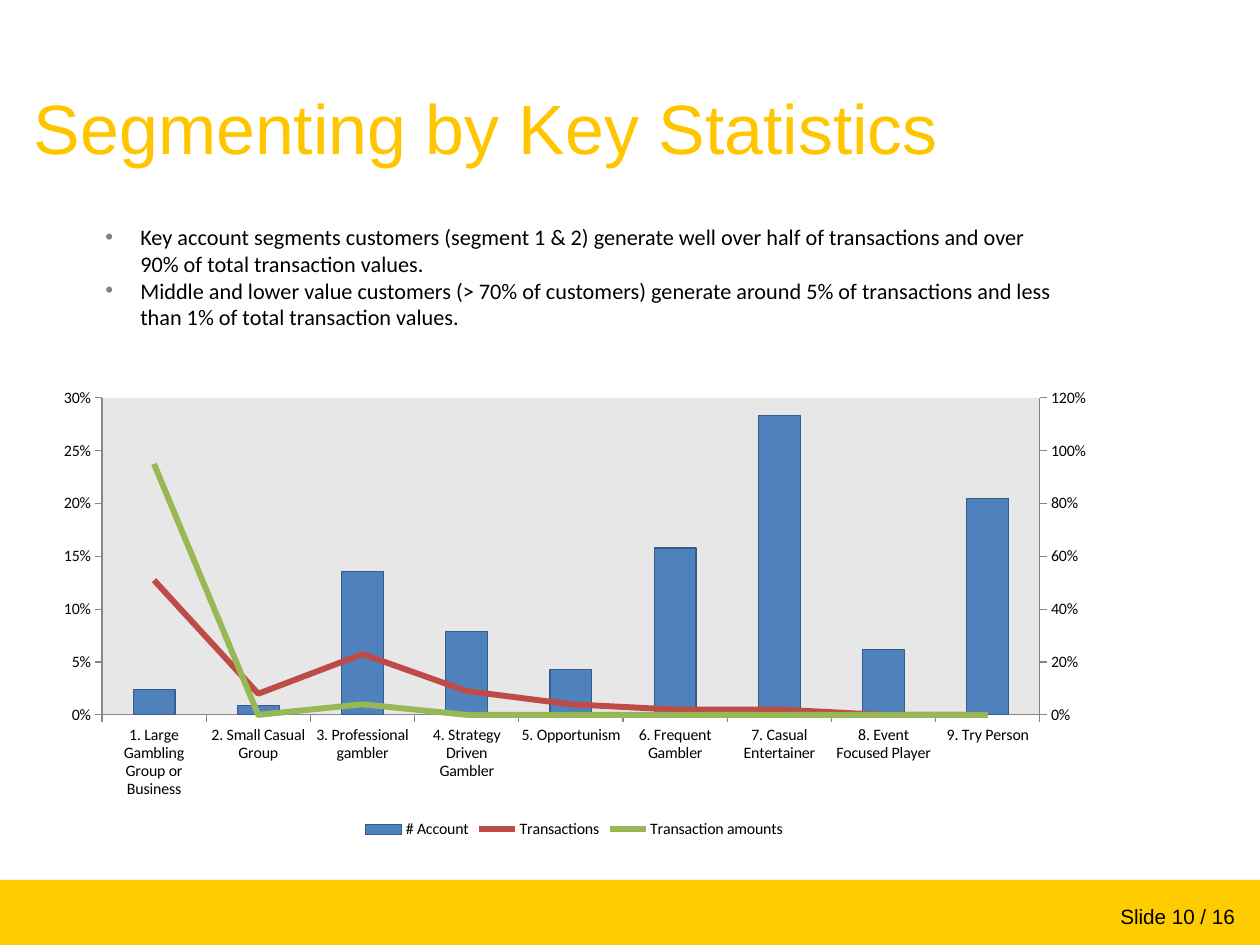
"""Build the slide on customer segments and their key statistics."""
from copy import deepcopy
from dataclasses import dataclass

from lxml import etree
from pptx import Presentation
from pptx import util as u
from pptx.chart import axis as ax
from pptx.chart.data import CategoryChartData
from pptx.dml.color import RGBColor
from pptx.enum import chart as ch, shapes, text
from pptx.oxml.ns import qn

PX = 8000


@dataclass(frozen=True)
class Theme:
    """Colours, fonts and sizes of the slide."""
    gold: str = "FFCC00"
    heading: str = "FFC600"
    ink: str = "000000"
    bullet: str = "808080"
    axis: str = "878787"
    plot: str = "E7E7E7"
    account: str = "4F81BD"
    account_edge: str = "365C89"
    transactions: str = "BE4B48"
    amounts: str = "98B855"
    display: str = "Arial"
    body: str = "Calibri"
    title_size: int = 44
    body_size: int = 14
    footer_size: int = 13
    chart_size: int = 10
    thin: float = 0.75
    thick: float = 3.75


THEME = Theme()
POINTS = (
    "Key account segments customers (segment 1 & 2) generate well over half of "
    "transactions and over 90% of total transaction values.",
    "Middle and lower value customers (> 70% of customers) generate around 5% of "
    "transactions and less than 1% of total transaction values.",
)
SEGMENTS = (
    "1. Large Gambling Group or Business", "2. Small Casual Group",
    "3. Professional gambler", "4. Strategy Driven Gambler", "5. Opportunism",
    "6. Frequent Gambler", "7. Casual Entertainer", "8. Event Focused Player",
    "9. Try Person",
)
STATISTICS = {
    "# Account": (0.024, 0.009, 0.136, 0.079, 0.043, 0.158, 0.283, 0.062, 0.205),
    "Transactions": (0.51, 0.08, 0.23, 0.09, 0.04, 0.02, 0.02, 0, 0),
    "Transaction amounts": (0.95, 0, 0.04, 0, 0, 0, 0, 0, 0),
}


def box(*lengths):
    """Turn px lengths into EMU."""
    return [length * PX for length in lengths]


def assign(target, **values):
    """Set each named attribute on the target."""
    for name, value in values.items():
        setattr(target, name, value)


def style_font(font, family, size, color=THEME.ink):
    """Give a font its family, size and colour."""
    assign(font, name=family, size=u.Pt(size))
    font.color.rgb = RGBColor.from_string(color)


def fill_solid(fill, color):
    """Fill with one colour."""
    fill.solid()
    fill.fore_color.rgb = RGBColor.from_string(color)


def style_line(line, color, width):
    """Draw a line in one colour and width."""
    fill_solid(line.fill, color)
    line.width = u.Pt(width)


def add_child(parent, tag, **attributes):
    """Append an XML element with the given attributes."""
    return etree.SubElement(parent, qn(tag), attributes)


def add_bullet(paragraph):
    """Give a paragraph a grey hanging bullet."""
    properties = paragraph._p.get_or_add_pPr()
    hang = 35 * PX
    properties.set("marL", str(hang))
    properties.set("indent", str(-hang))
    color = add_child(properties, "a:buClr")
    add_child(color, "a:srgbClr", val=THEME.bullet)
    add_child(properties, "a:buFont", typeface=THEME.display)
    add_child(properties, "a:buChar", char="•")


def add_text(slide, place, lines, font, bulleted=False, inset=True, **frame_format):
    """Add a wrapped text box with one paragraph per line."""
    frame = slide.shapes.add_textbox(*box(*place)).text_frame
    align = frame_format.pop("align", text.PP_ALIGN.LEFT)
    assign(frame, word_wrap=True, **frame_format)
    if not inset:
        assign(frame, margin_left=0, margin_right=0, margin_top=0, margin_bottom=0)
    for index, line in enumerate(lines):
        paragraph = frame.add_paragraph() if index else frame.paragraphs[0]
        paragraph.alignment = align
        if bulleted:
            add_bullet(paragraph)
        run = paragraph.add_run()
        run.text = line
        style_font(run.font, *font)


def add_band(slide, place, color):
    """Add a plain filled rectangle."""
    band = slide.shapes.add_shape(shapes.MSO_SHAPE.RECTANGLE, *box(*place))
    band.shadow.inherit = False
    fill_solid(band.fill, color)
    band.line.fill.background()


def style_axis(axis):
    """Give an axis its ticks, line and labels."""
    assign(axis, has_major_gridlines=False, major_tick_mark=ch.XL_TICK_MARK.OUTSIDE,
           minor_tick_mark=ch.XL_TICK_MARK.NONE)
    style_line(axis.format.line, THEME.axis, THEME.thin)
    style_font(axis.tick_labels.font, THEME.body, THEME.chart_size)


def add_right_axes(category_axis, value_axis):
    """Copy both axes as a hidden category axis and a right value axis."""
    category, value = (deepcopy(axis._element) for axis in (category_axis, value_axis))
    value_axis._element.addnext(category)
    category.addnext(value)
    for element, own, other in ((category, "501", "502"), (value, "502", "501")):
        element.find(qn("c:axId")).set("val", own)
        element.find(qn("c:crossAx")).set("val", other)
    value.find(qn("c:axPos")).set("val", "r")
    value.find(qn("c:crosses")).set("val", "max")
    ax.CategoryAxis(category).visible = False
    return ax.ValueAxis(value)


def move_to_lines(columns):
    """Move all series but the first to a line plot on the right axes."""
    lines = etree.Element(qn("c:lineChart"))
    columns.addnext(lines)
    add_child(lines, "c:grouping", val="standard")
    add_child(lines, "c:varyColors", val="0")
    for series in columns.findall(qn("c:ser"))[1:]:
        for flag in series.findall(qn("c:invertIfNegative")):
            series.remove(flag)
        lines.append(series)
    add_child(lines, "c:marker", val="1")
    for axis_id in ("501", "502"):
        add_child(lines, "c:axId", val=axis_id)


def style_plot_area(plot_area):
    """Place the inner plot and paint its background."""
    for unset in plot_area.findall(qn("c:layout")):
        plot_area.remove(unset)
    layout = etree.Element(qn("c:layout"))
    plot_area.insert(0, layout)
    manual = add_child(layout, "c:manualLayout")
    for tag, value in (("layoutTarget", "inner"), ("xMode", "edge"), ("yMode", "edge"),
                       ("x", 60 / 1064), ("y", 18 / 463),
                       ("w", 938 / 1064), ("h", 317 / 463)):
        add_child(manual, f"c:{tag}", val=str(value))
    fill = add_child(add_child(plot_area, "c:spPr"), "a:solidFill")
    add_child(fill, "a:srgbClr", val=THEME.plot)


def add_statistics_chart(slide, place):
    """Add account columns with transaction lines on a right axis."""
    data = CategoryChartData(number_format="0%")
    data.categories = SEGMENTS
    for name, values in STATISTICS.items():
        data.add_series(name, values)
    chart = slide.shapes.add_chart(
        ch.XL_CHART_TYPE.COLUMN_CLUSTERED, *box(*place), data).chart
    assign(chart, has_title=False, has_legend=True)
    style_font(chart.font, THEME.display, THEME.chart_size)
    assign(chart.legend, position=ch.XL_LEGEND_POSITION.BOTTOM, include_in_layout=False)
    style_font(chart.legend.font, THEME.body, THEME.chart_size)

    for axis in (chart.category_axis, chart.value_axis):
        style_axis(axis)
    assign(chart.value_axis.tick_labels, number_format="0%", number_format_is_linked=False)
    right_axis = add_right_axes(chart.category_axis, chart.value_axis)
    for axis, top, step in ((chart.value_axis, 0.3, 0.05), (right_axis, 1.2, 0.2)):
        assign(axis, minimum_scale=0, maximum_scale=top, major_unit=step)

    columns = chart.plots[0]
    assign(columns, gap_width=150, vary_by_categories=False)
    plot_area = columns._element.getparent()
    move_to_lines(columns._element)
    style_plot_area(plot_area)
    accounts = chart.plots[0].series[0]
    fill_solid(accounts.format.fill, THEME.account)
    style_line(accounts.format.line, THEME.account_edge, THEME.thin)
    for series, color in zip(chart.plots[1].series, (THEME.transactions, THEME.amounts)):
        series.smooth = False
        series.marker.style = ch.XL_MARKER_STYLE.NONE
        style_line(series.format.line, color, THEME.thick)


def main():
    """Build and save the slide."""
    deck = Presentation()
    deck.slide_width, deck.slide_height = box(1260, 945)
    slide = deck.slides.add_slide(deck.slide_layouts[6])
    add_band(slide, (0, 880, 1260, 65), THEME.gold)
    add_text(slide, (949, 898, 297, 32), ["Slide 10 / 16"],
             (THEME.display, THEME.footer_size), align=text.PP_ALIGN.RIGHT)
    add_text(slide, (34, 48, 1134, 158), ["Segmenting by Key Statistics"],
             (THEME.display, THEME.title_size, THEME.heading), inset=False,
             vertical_anchor=text.MSO_ANCHOR.MIDDLE)
    add_statistics_chart(slide, (42, 380, 1064, 463))
    add_text(slide, (94, 218, 969, 145), POINTS, (THEME.body, THEME.body_size),
             bulleted=True)
    deck.save("out.pptx")


if __name__ == "__main__":
    main()
